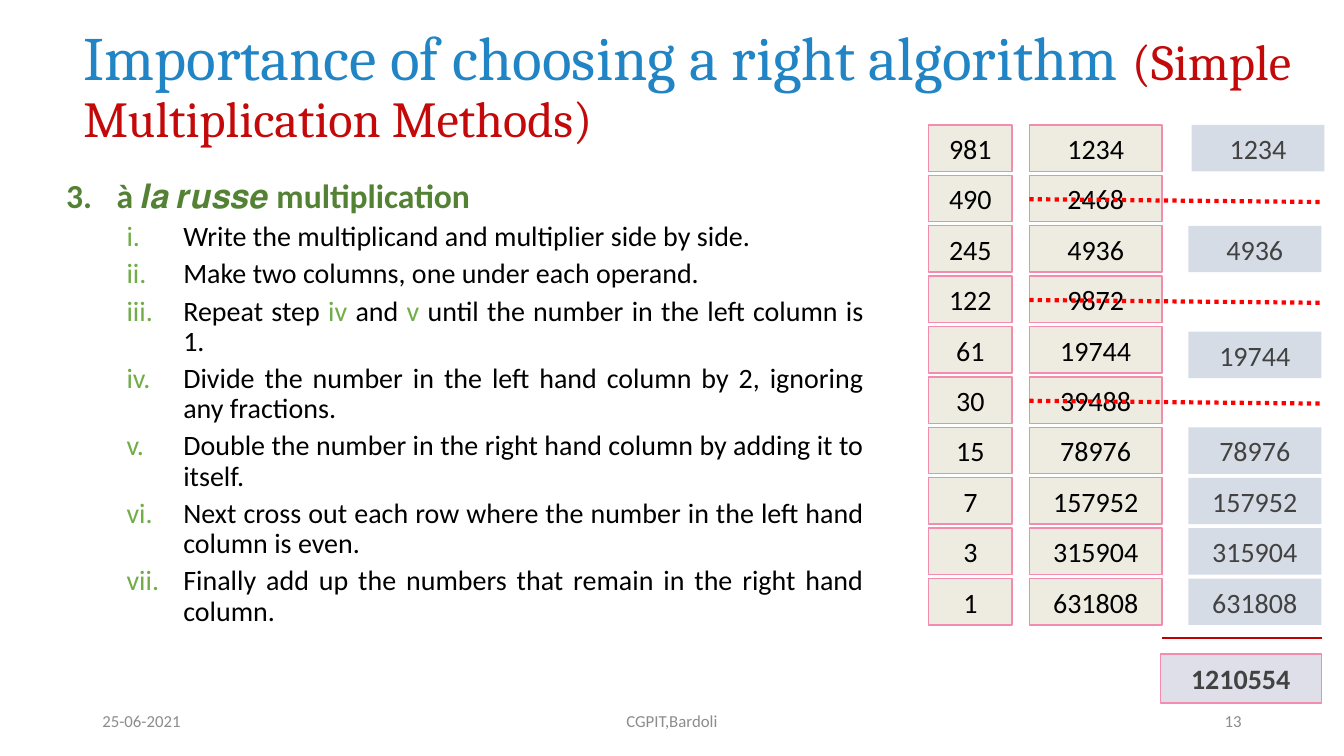
"""Build a slide on à la russe multiplication with its worked example."""
from lxml.etree import SubElement
from pptx import Presentation
from pptx.dml.color import RGBColor
from pptx.enum.dml import MSO_LINE
from pptx.enum.shapes import MSO_CONNECTOR, MSO_SHAPE
from pptx.enum.text import MSO_ANCHOR, PP_ALIGN
from pptx.oxml.ns import qn
from pptx.util import Cm, Pt


def add_run(paragraph, text, size, color, font="Calibri", bold=False):
    run = paragraph.add_run()
    run.text = text
    run.font.size = Pt(size)
    run.font.name = font
    run.font.bold = bold
    run.font.color.rgb = RGBColor.from_string(color)


def add_box(left, top, width, height, text, fill, color, border=None, bold=False):
    shape = slide.shapes.add_shape(
        MSO_SHAPE.RECTANGLE, Cm(left), Cm(top), Cm(width), Cm(height))
    shape.shadow.inherit = False
    shape.fill.solid()
    shape.fill.fore_color.rgb = RGBColor.from_string(fill)
    if border:
        shape.line.color.rgb = RGBColor.from_string(border)
        shape.line.width = Pt(1)
    else:
        shape.line.fill.background()
    shape.text_frame.vertical_anchor = MSO_ANCHOR.MIDDLE
    paragraph = shape.text_frame.paragraphs[0]
    paragraph.alignment = PP_ALIGN.CENTER
    add_run(paragraph, text, 20, color, bold=bold)


presentation = Presentation()
presentation.slide_width = Cm(33.87)
presentation.slide_height = Cm(19.05)
slide = presentation.slides.add_slide(presentation.slide_layouts[6])

footers = [
    (2.33, 7.62, "25-06-2021", PP_ALIGN.LEFT),
    (11.22, 11.43, "CGPIT,Bardoli", PP_ALIGN.CENTER),
    (23.92, 7.62, "13", PP_ALIGN.RIGHT),
]
for left, width, text, alignment in footers:
    footer = slide.shapes.add_textbox(Cm(left), Cm(17.66), Cm(width), Cm(1.01))
    footer.text_frame.word_wrap = True
    footer.text_frame.vertical_anchor = MSO_ANCHOR.MIDDLE
    paragraph = footer.text_frame.paragraphs[0]
    paragraph.alignment = alignment
    add_run(paragraph, text, 12, "8C8C8C")

title = slide.shapes.add_textbox(Cm(1.85), Cm(0.38), Cm(31.2), Cm(3.68))
title.text_frame.word_wrap = True
title.text_frame.vertical_anchor = MSO_ANCHOR.MIDDLE
paragraph = title.text_frame.paragraphs[0]
paragraph.line_spacing = 0.9
add_run(paragraph, "Importance of choosing a right algorithm ", 44, "2185C5", "Cambria")
add_run(paragraph, "(Simple Multiplication Methods)", 36, "C30909", "Cambria")

BLACK, GREEN, DARK_GREEN = "000000", "70AD47", "548235"
steps = [
    [("à 𝒍𝒂 𝒓𝒖𝒔𝒔𝒆 multiplication", DARK_GREEN)],
    [("Write the multiplicand and multiplier side by side.", BLACK)],
    [("Make two columns, one under each operand.", BLACK)],
    [("Repeat step ", BLACK), ("iv ", GREEN), ("and ", BLACK), ("v", GREEN),
     (" until the number in the left column is 1.", BLACK)],
    [("Divide the number in the left hand column by 2, ignoring any fractions.", BLACK)],
    [("Double the number in the right hand column by adding it to itself.", BLACK)],
    [("Next cross out each row where the number in the left hand column is even.", BLACK)],
    [("Finally add up the numbers that remain in the right hand column.", BLACK)],
]
method = slide.shapes.add_textbox(Cm(1.42), Cm(4.39), Cm(20.6), Cm(12.37))
method.text_frame.word_wrap = True
for index, runs in enumerate(steps):
    heading = index == 0
    paragraph = method.text_frame.paragraphs[0] if heading else method.text_frame.add_paragraph()
    paragraph.alignment = PP_ALIGN.JUSTIFY
    paragraph.line_spacing = 0.9
    paragraph.space_before = Pt(0 if heading else 5)
    paragraph.level = 0 if heading else 1
    properties = paragraph._p.get_or_add_pPr()
    properties.set("marL", str(Cm(1.27 if heading else 2.95)))
    properties.set("indent", str(-Cm(1.27 if heading else 1.43)))
    bullet_color = SubElement(properties, qn("a:buClr"))
    SubElement(bullet_color, qn("a:srgbClr"), val=DARK_GREEN if heading else GREEN)
    numbering = SubElement(properties, qn("a:buAutoNum"))
    numbering.set("type", "arabicPeriod" if heading else "romanLcPeriod")
    if heading:
        numbering.set("startAt", "3")
    for text, color in runs:
        add_run(paragraph, text, 24 if heading else 20, color, bold=heading)

PINK, CREAM, GREY = "F48CAF", "EEECE1", "424242"
ROW_HEIGHT = 1.17
nudges = {0: (0.08, 0), 4: (0, 0.13)}
lines = []
multiplier, multiplicand, product = 981, 1234, 0
for row in range(10):
    top = 3.15 + 1.27 * row
    add_box(23.4, top, 2.11, ROW_HEIGHT, str(multiplier), CREAM, BLACK, PINK)
    add_box(25.94, top, 3.35, ROW_HEIGHT, str(multiplicand), CREAM, BLACK, PINK)
    if multiplier % 2:
        right, down = nudges.get(row, (0, 0))
        add_box(29.95 + right, top + down, 3.35, ROW_HEIGHT, str(multiplicand), "D6DCE5", GREY)
        product += multiplicand
    else:
        lines.append((25.94, top + 0.6, 33.3, top + 0.67, "FF0000", 3, MSO_LINE.ROUND_DOT))
    multiplier //= 2
    multiplicand *= 2

add_box(29.24, 16.48, 4.06, 1.24, str(product), "DFDFE9", GREY, PINK, bold=True)

lines.append((29.29, 16.08, 33.32, 16.08, "C00000", 1.5, MSO_LINE.SOLID))
for x1, y1, x2, y2, color, width, dash in lines:
    connector = slide.shapes.add_connector(
        MSO_CONNECTOR.STRAIGHT, Cm(x1), Cm(y1), Cm(x2), Cm(y2))
    connector.line.color.rgb = RGBColor.from_string(color)
    connector.line.width = Pt(width)
    connector.line.dash_style = dash
    SubElement(connector._element.spPr, qn("a:effectLst"))

presentation.save("out.pptx")
